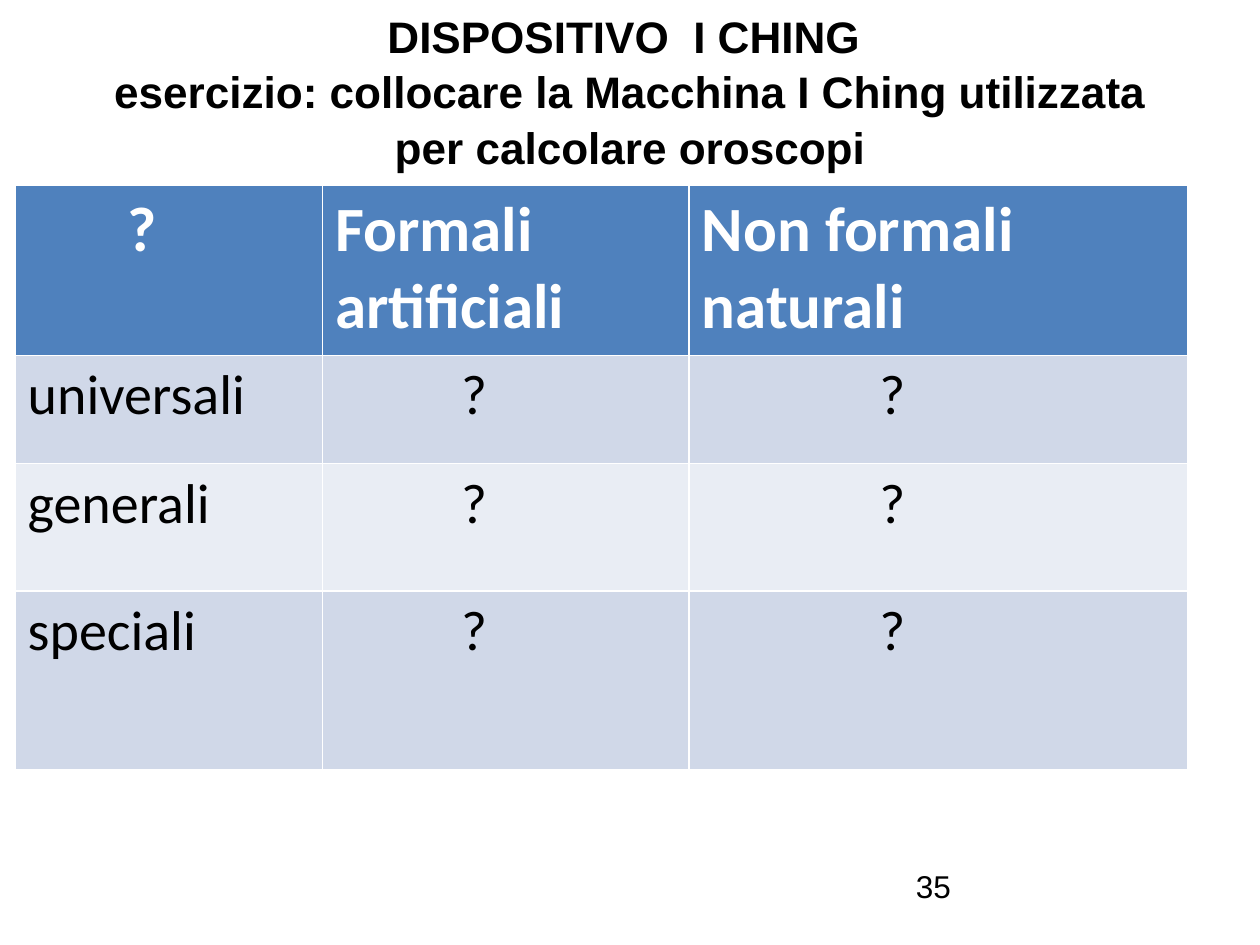
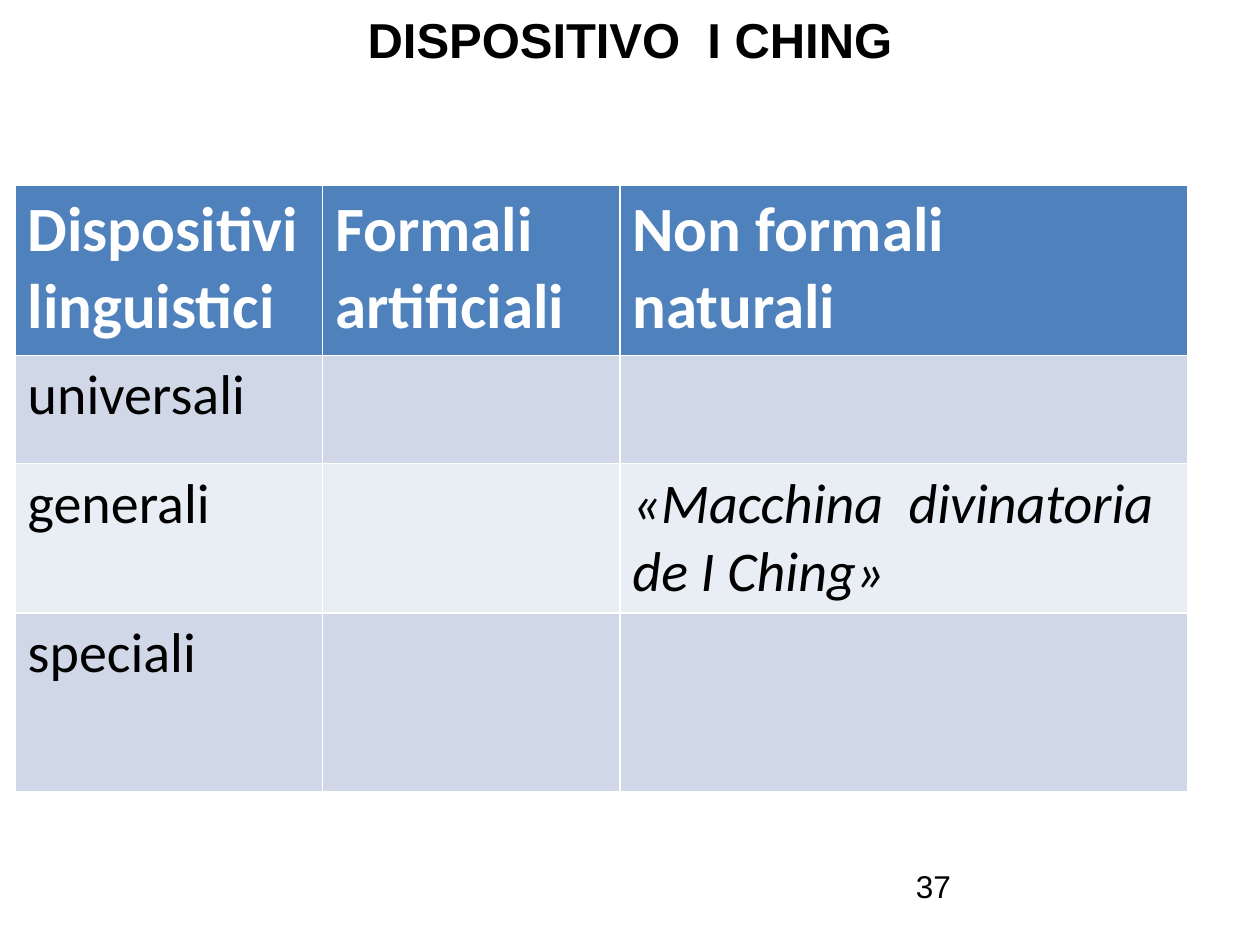
from pptx import Presentation
from pptx.dml.color import RGBColor
from pptx.enum import text
from pptx.util import Inches, Pt

THEME = {
    "ink": RGBColor(0, 0, 0),
    "white": RGBColor(255, 255, 255),
    "head": RGBColor(0x4F, 0x81, 0xBD),
    "bands": [RGBColor(0xD0, 0xD8, 0xE8), RGBColor(0xE9, 0xED, 0xF4)],
    "sans": "Arial",
    "body": "Calibri",
    "head_size": Pt(36),
    "cell_size": Pt(32),
    "page_size": Pt(18),
}
HEADS = ["Formali\nartificiali", "Non formali\nnaturali"]
KINDS = ["universali", "generali", "speciali"]
ROWS = [1.35, 0.86, 1.01, 1.42]

PAGES = [
    {
        "title": "DISPOSITIVO  I CHING \vesercizio: collocare la Macchina I Ching "
                 "utilizzata per calcolare oroscopi",
        "size": Pt(25.2),
        "corner": "?",
        "cols": [2.44, 2.91, 3.96],
        "marks": [["?", "?"]] * 3,
        "number": "35",
    },
    {
        "title": "DISPOSITIVO  I CHING",
        "size": Pt(28),
        "corner": "Dispositivi linguistici",
        "cols": [2.44, 2.36, 4.51],
        "marks": [["", ""], ["", "«Macchina  divinatoria de I Ching»"], ["", ""]],
        "number": "37",
    },
]
INDENTS = [0.89, 1.1, 1.51]


def style(frame, color, **form):
    for para in frame.paragraphs:
        for name, value in form.items():
            setattr(para.font, name, value)
        para.font.color.rgb = color


def place(shape, left, top, width, height):
    box = {"left": left, "top": top, "width": width, "height": height}
    for name, value in box.items():
        setattr(shape, name, Inches(value))


deck = Presentation()
deck.slide_width, deck.slide_height = Inches(10), Inches(7.5)

for page in PAGES:
    slide = deck.slides.add_slide(deck.slide_layouts[5])

    title = slide.shapes.title
    place(title, 0.5, 0, 9, 0.84)
    frame = title.text_frame
    frame.text = page["title"]
    frame.auto_size = text.MSO_AUTO_SIZE.NONE
    frame.vertical_anchor = text.MSO_ANCHOR.TOP
    frame.paragraphs[0].alignment = text.PP_ALIGN.CENTER
    frame.paragraphs[0].line_spacing = 1.05
    style(frame, THEME["ink"], name=THEME["sans"], size=page["size"], bold=True)

    grid = [[page["corner"]] + HEADS]
    grid += [[kind] + marks for kind, marks in zip(KINDS, page["marks"])]
    table = slide.shapes.add_table(
        len(ROWS), len(page["cols"]), Inches(0.12), Inches(1.47),
        Inches(sum(page["cols"])), Inches(sum(ROWS))).table
    for col, width in zip(table.columns, page["cols"]):
        col.width = Inches(width)
    for row, height in zip(table.rows, ROWS):
        row.height = Inches(height)

    for r, line in enumerate(grid):
        top = r == 0
        for c, words in enumerate(line):
            cell = table.cell(r, c)
            cell.text = words
            cell.fill.solid()
            cell.fill.fore_color.rgb = THEME["head"] if top else THEME["bands"][(r - 1) % 2]
            if words == "?":
                cell.margin_left = Inches(INDENTS[c])
            style(cell.text_frame, THEME["white" if top else "ink"],
                  name=THEME["body"], bold=top, italic=words.startswith("«"),
                  size=THEME["head_size" if top else "cell_size"])

    number = slide.shapes.add_textbox(0, 0, 0, 0)
    place(number, 7.17, 6.83, 2.33, 0.52)
    number.text_frame.word_wrap = True
    number.text_frame.text = page["number"]
    style(number.text_frame, THEME["ink"], name=THEME["sans"], size=THEME["page_size"])

deck.save("out.pptx")
